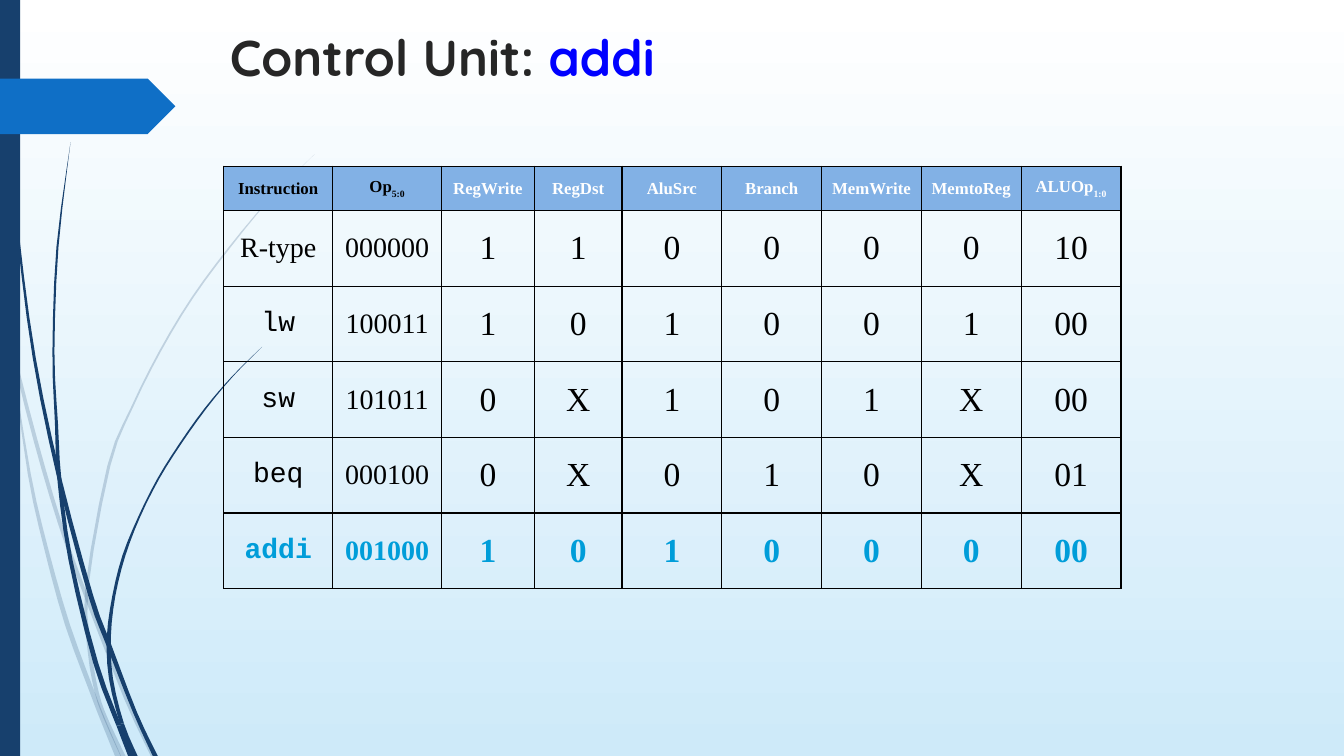
from lxml import etree
from pptx import Presentation
from pptx.dml.color import RGBColor
from pptx.enum.shapes import MSO_SHAPE
from pptx.enum.text import MSO_ANCHOR, PP_ALIGN
from pptx.oxml.ns import qn
from pptx.util import Inches, Pt

RECTANGLE = MSO_SHAPE.RECTANGLE
PENTAGON = MSO_SHAPE.PENTAGON
MIDDLE = MSO_ANCHOR.MIDDLE
CENTER, LEFT = PP_ALIGN.CENTER, PP_ALIGN.LEFT

NAVY, BLUE, HEADER_BLUE = "17406D", "0F6FC6", "82B1E5"
BLACK, WHITE, ACCENT = "000000", "FFFFFF", "009DD9"
SERIF, MONO = "Times New Roman", "Courier New"
STEPS = 3


def rgb(value):
    return RGBColor.from_string(value)


def add_run(paragraph, text, font, size, color, bold):
    run = paragraph.add_run()
    run.text = text
    run.font.name = font
    run.font.size = Pt(size)
    run.font.bold = bold
    run.font.color.rgb = rgb(color)
    return run


prs = Presentation()
prs.slide_width, prs.slide_height = Inches(13.33), Inches(7.5)
slide = prs.slides.add_slide(prs.slide_layouts[5])

backdrop = slide.background.fill
backdrop.gradient()
backdrop.gradient_angle = 270
for stop, color, position in zip(backdrop.gradient_stops, (WHITE, "CEEAF9"), (0, 1)):
    stop.color.rgb = rgb(color)
    stop.position = position

blades = [
    (20, (1, 4), [(0, 2.9, 0.01), (0.12, 3.45, 0.03), (0.35, 4.36, 0.04),
                  (0.6, 5.21, 0.04), (0.86, 5.93, 0.04), (1.25, 6.93, 0.04),
                  (1.52, 7.5, 0.05)]),
    (20, (5,), [(0.11, 3.5, 0), (0.29, 4.7, 0.03), (0.46, 5.45, 0.04),
                (0.67, 6.2, 0.05), (0.92, 6.88, 0.05), (1.02, 7.14, 0.05),
                (1.17, 7.5, 0.06)]),
    (20, (7, 10), [(3.12, 1.53, 0), (2.68, 1.97, 0.01), (2.28, 2.45, 0.02),
                   (1.91, 2.95, 0.02), (1.59, 3.48, 0.02), (1.31, 4.04, 0.02),
                   (1.08, 4.62, 0.03), (0.86, 5.84, 0.03), (0.89, 6.46, 0.04),
                   (0.96, 6.87, 0.04), (1.05, 7.13, 0.04), (1.22, 7.5, 0.05)]),
    (100, (4, 6), [(0.03, 0, 0.01), (0.07, 1.1, 0.01), (0.18, 2.33, 0.02),
                   (0.34, 3.55, 0.03), (0.59, 4.75, 0.04), (0.9, 5.91, 0.05),
                   (1.08, 6.4, 0.05), (1.34, 7.07, 0.04), (1.54, 7.5, 0.05)]),
    (100, (4, 7), [(0.7, 1.41, 0), (0.57, 2.45, 0.02), (0.53, 3.49, 0.02),
                   (0.56, 4.2, 0.03), (0.59, 4.77, 0.04), (0.7, 5.56, 0.04),
                   (0.95, 6.58, 0.05), (1.18, 7.2, 0.05), (1.3, 7.5, 0.06)]),
    (100, (8, 10), [(2.6, 3.44, 0), (2.31, 3.73, 0.01), (2.04, 4.05, 0.02),
                    (1.79, 4.4, 0.02), (1.57, 4.75, 0.02), (1.38, 5.13, 0.02),
                    (1.23, 5.51, 0.03), (1.13, 5.91, 0.03), (1.08, 6.32, 0.04),
                    (1.1, 6.73, 0.04), (1.21, 7.18, 0.04), (1.34, 7.5, 0.05)]),
]
for opacity, joints, knots in blades:
    padded = [knots[0], *knots, knots[-1]]
    spine = []
    for a, b, c, d in zip(padded, padded[1:], padded[2:], padded[3:]):
        for step in range(STEPS):
            t = step / STEPS
            spine.append([
                (2 * q + (r - p) * t + (2 * p - 5 * q + 4 * r - s) * t ** 2
                 + (3 * q - p - 3 * r + s) * t ** 3) / 2
                for p, q, r, s in zip(a, b, c, d)
            ])
    spine.append(knots[-1])
    ends = [0, *joints, len(knots) - 1]
    for first, last in zip(ends, ends[1:]):
        section = spine[first * STEPS:last * STEPS + 1]
        left_edge = [(Inches(x - w / 2), Inches(y)) for x, y, w in section]
        right_edge = [(Inches(x + w / 2), Inches(y)) for x, y, w in reversed(section)]
        outline = slide.shapes.build_freeform(*left_edge[0])
        outline.add_line_segments(left_edge[1:] + right_edge, close=True)
        blade = outline.convert_to_shape()
        blade.shadow.inherit = False
        blade.line.fill.background()
        blade.fill.solid()
        blade.fill.fore_color.rgb = rgb(NAVY)
        if opacity < 100:
            tint = next(blade._element.iter(qn("a:srgbClr")))
            etree.SubElement(tint, qn("a:alpha")).set("val", str(opacity * 1000))

for preset, color, top, width, height in (
    (RECTANGLE, NAVY, 0, 0.2, 7.5),
    (PENTAGON, BLUE, 0.78, 1.74, 0.55),
):
    band = slide.shapes.add_shape(preset, 0, Inches(top), Inches(width), Inches(height))
    band.shadow.inherit = False
    band.fill.solid()
    band.fill.fore_color.rgb = rgb(color)
    band.line.fill.background()

title = slide.shapes.title
title.left, title.top = Inches(2.18), 0
title.width, title.height = Inches(10.47), Inches(1.12)
title.text_frame.vertical_anchor = MIDDLE
heading = title.text_frame.paragraphs[0]
heading.alignment = LEFT
add_run(heading, "Control Unit: ", "Quicksand", 36, "262626", True)
add_run(heading, "addi", "Quicksand", 36, "0000FF", True)

signals = [("Instruction", ""), ("Op", "5:0"), ("RegWrite", ""), ("RegDst", ""),
           ("AluSrc", ""), ("Branch", ""), ("MemWrite", ""), ("MemtoReg", ""),
           ("ALUOp", "1:0")]
instructions = [
    ("R-type", "000000", "1", "1", "0", "0", "0", "0", "10"),
    ("lw", "100011", "1", "0", "1", "0", "0", "1", "00"),
    ("sw", "101011", "0", "X", "1", "0", "1", "X", "00"),
    ("beq", "000100", "0", "X", "0", "1", "0", "X", "01"),
    ("addi", "001000", "1", "0", "1", "0", "0", "0", "00"),
]
column_widths = [1.08, 1.08, 0.92, 0.87] + [0.99] * 5
row_heights = [0.44] + [0.75] * len(instructions)
control = slide.shapes.add_table(
    len(row_heights), len(column_widths), Inches(2.22), Inches(1.65),
    Inches(sum(column_widths)), Inches(sum(row_heights))).table
control.first_row = control.horz_banding = False
for column, width in zip(control.columns, column_widths):
    column.width = Inches(width)
for row, height in zip(control.rows, row_heights):
    row.height = Inches(height)

for r in range(len(row_heights)):
    for c, (signal, bits) in enumerate(signals):
        cell = control.cell(r, c)
        cell.vertical_anchor = MIDDLE
        cell.margin_left = cell.margin_right = Inches(0.05)
        properties = cell._tc.get_or_add_tcPr()
        for side in ("lnL", "lnR", "lnT", "lnB"):
            border = etree.SubElement(properties, qn("a:" + side), w=str(Pt(1)))
            paint = etree.SubElement(border, qn("a:solidFill"))
            etree.SubElement(paint, qn("a:srgbClr"), val=BLACK)
        entry = cell.text_frame.paragraphs[0]
        entry.alignment = CENTER
        if r == 0:
            cell.fill.solid()
            cell.fill.fore_color.rgb = rgb(HEADER_BLUE)
            color = BLACK if c < 2 else WHITE
            add_run(entry, signal, SERIF, 12, color, True)
            if bits:
                subscript = add_run(entry, bits, SERIF, 12, color, True)
                subscript._r.get_or_add_rPr().set("baseline", "-30000")
        else:
            cell.fill.background()
            added = r == len(instructions)
            add_run(entry, instructions[r - 1][c],
                    MONO if c == 0 and r > 1 else SERIF,
                    20 if c < 2 else 24,
                    ACCENT if added else BLACK, added)

prs.save("out.pptx")
